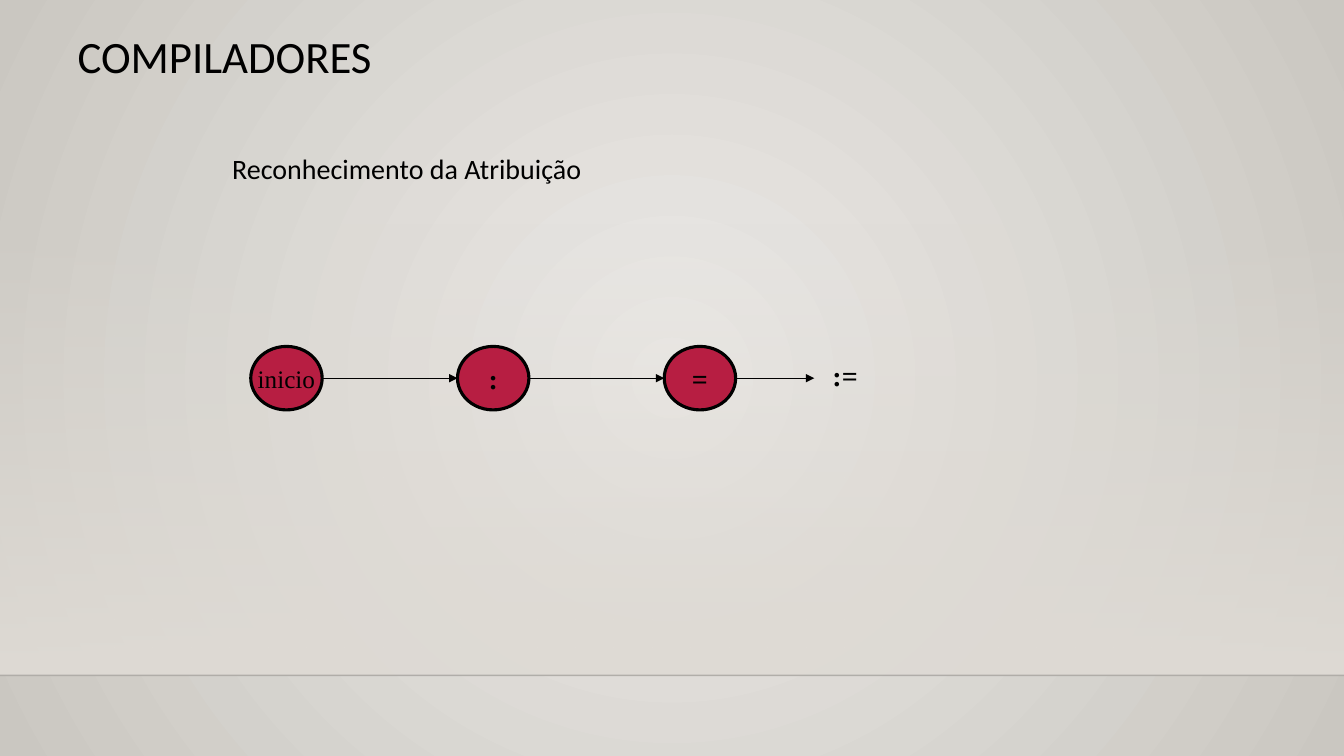
from lxml import etree
from pptx import Presentation
from pptx.dml.color import RGBColor
from pptx.enum.shapes import MSO_CONNECTOR, MSO_SHAPE
from pptx.enum.text import MSO_ANCHOR, PP_ALIGN
from pptx.oxml.ns import qn
from pptx.util import Cm, Pt

STRAIGHT = MSO_CONNECTOR.STRAIGHT
RECTANGLE, OVAL = MSO_SHAPE.RECTANGLE, MSO_SHAPE.OVAL
TOP, MIDDLE = MSO_ANCHOR.TOP, MSO_ANCHOR.MIDDLE
LEFT, CENTER = PP_ALIGN.LEFT, PP_ALIGN.CENTER

BLACK = RGBColor(0x00, 0x00, 0x00)
CRIMSON = RGBColor(0xB7, 0x1E, 0x42)
PALE_GREY = RGBColor(0xEC, 0xEA, 0xE7)
WARM_GREY = RGBColor(0xCA, 0xC7, 0xC1)
SAND = RGBColor(0xDF, 0xDB, 0xD5)

SANS, SERIF = "Calibri", "Times New Roman"
SLIDE_WIDTH, SLIDE_HEIGHT = Cm(33.87), Cm(19.05)
FLOOR_TOP = Cm(17.02)

STATES = [("inicio", 18, False), (":", 20, True), ("=", 20, True)]
STATE_LEFT, STATE_PITCH = Cm(6.32), Cm(5.21)
STATE_WIDTH, STATE_HEIGHT = Cm(1.8), Cm(1.6)
AXIS = Cm(9.53)
TOKEN_ARROW_END = Cm(20.52)


def set_gradient(fill, start, end):
    fill.gradient()
    for stop, color in zip(fill.gradient_stops, (start, end)):
        stop.color.rgb = color


def set_alpha(element, percent):
    """Give the first RGB colour inside element this opacity."""
    color = next(element.iter(qn("a:srgbClr")))
    etree.SubElement(color, qn("a:alpha"), val=str(percent * 1000))


def paint_background(slide):
    """Spread a circular gradient from the centre of the slide."""
    set_gradient(slide.background.fill, PALE_GREY, WARM_GREY)
    gradient = next(slide.element.iter(qn("a:gradFill")))
    linear = gradient.find(qn("a:lin"))
    circle = etree.Element(qn("a:path"), path="circle")
    etree.SubElement(circle, qn("a:fillToRect"),
                     l="50000", t="50000", r="50000", b="50000")
    gradient.replace(linear, circle)


def add_line(slide, start, end, y, width, alpha=None, arrow=False):
    line = slide.shapes.add_connector(STRAIGHT, start, y, end, y)
    line.line.color.rgb = BLACK
    line.line.width = Pt(width)
    properties = line._element.spPr
    if alpha is not None:
        set_alpha(properties, alpha)
    if arrow:
        etree.SubElement(properties.find(qn("a:ln")), qn("a:tailEnd"), type="triangle")
    etree.SubElement(properties, qn("a:effectLst"))


def add_backdrop(slide):
    band_top = Cm(5.61)
    band = slide.shapes.add_shape(RECTANGLE, 0, band_top, SLIDE_WIDTH, FLOOR_TOP - band_top)
    band.shadow.inherit = False
    band.line.fill.background()
    set_gradient(band.fill, SAND, SAND)
    band.fill.gradient_angle = 270
    set_alpha(band._element.spPr, 0)
    add_line(slide, 0, SLIDE_WIDTH, FLOOR_TOP, 1, alpha=20)


def write(frame, text, font_name, size, bold=False, align=LEFT, anchor=TOP, spacing=1.0):
    frame.vertical_anchor = anchor
    paragraph = frame.paragraphs[0]
    paragraph.alignment = align
    paragraph.line_spacing = spacing
    run = paragraph.add_run()
    run.text = text
    run.font.name = font_name
    run.font.size = Pt(size)
    run.font.bold = bold
    run.font.color.rgb = BLACK


def add_title(slide, text):
    title = slide.shapes.title
    title.left, title.top, title.width, title.height = Cm(1.7), Cm(0.76), Cm(30.48), Cm(3.18)
    write(title.text_frame, text, SANS, 32, spacing=0.9)


def add_text(slide, text, left, top, width, height, font_name, size, **style):
    frame = slide.shapes.add_textbox(left, top, width, height).text_frame
    frame.word_wrap = True
    write(frame, text, font_name, size, **style)


def add_state(slide, label, size, bold, left):
    state = slide.shapes.add_shape(OVAL, left, AXIS - STATE_HEIGHT // 2,
                                   STATE_WIDTH, STATE_HEIGHT)
    state.shadow.inherit = False
    state.fill.solid()
    state.fill.fore_color.rgb = CRIMSON
    state.line.color.rgb = BLACK
    state.line.width = Pt(2.25)
    state.text_frame.word_wrap = False
    write(state.text_frame, label, SERIF, size, bold=bold, align=CENTER, anchor=MIDDLE)


def add_automaton(slide):
    """Draw the chain of states, each with an arrow to what follows it."""
    lefts = [STATE_LEFT + i * STATE_PITCH for i in range(len(STATES))]
    for (label, size, bold), left, target in zip(STATES, lefts, lefts[1:] + [TOKEN_ARROW_END]):
        add_state(slide, label, size, bold, left)
        add_line(slide, left + STATE_WIDTH, target, AXIS, 0.75, arrow=True)
    add_text(slide, ":=", Cm(20.73), Cm(8.92), Cm(1.3), Cm(1.12), SERIF, 20, bold=True)


def main():
    deck = Presentation()
    deck.slide_width, deck.slide_height = SLIDE_WIDTH, SLIDE_HEIGHT
    slide = deck.slides.add_slide(deck.slide_layouts.get_by_name("Title Only"))
    paint_background(slide)
    add_backdrop(slide)
    add_title(slide, "COMPILADORES")
    add_text(slide, "Reconhecimento da Atribuição", Cm(5.6), Cm(3.53), Cm(22.92), Cm(2.49),
             SANS, 20, spacing=1.2)
    add_automaton(slide)
    deck.save("out.pptx")


if __name__ == "__main__":
    main()
